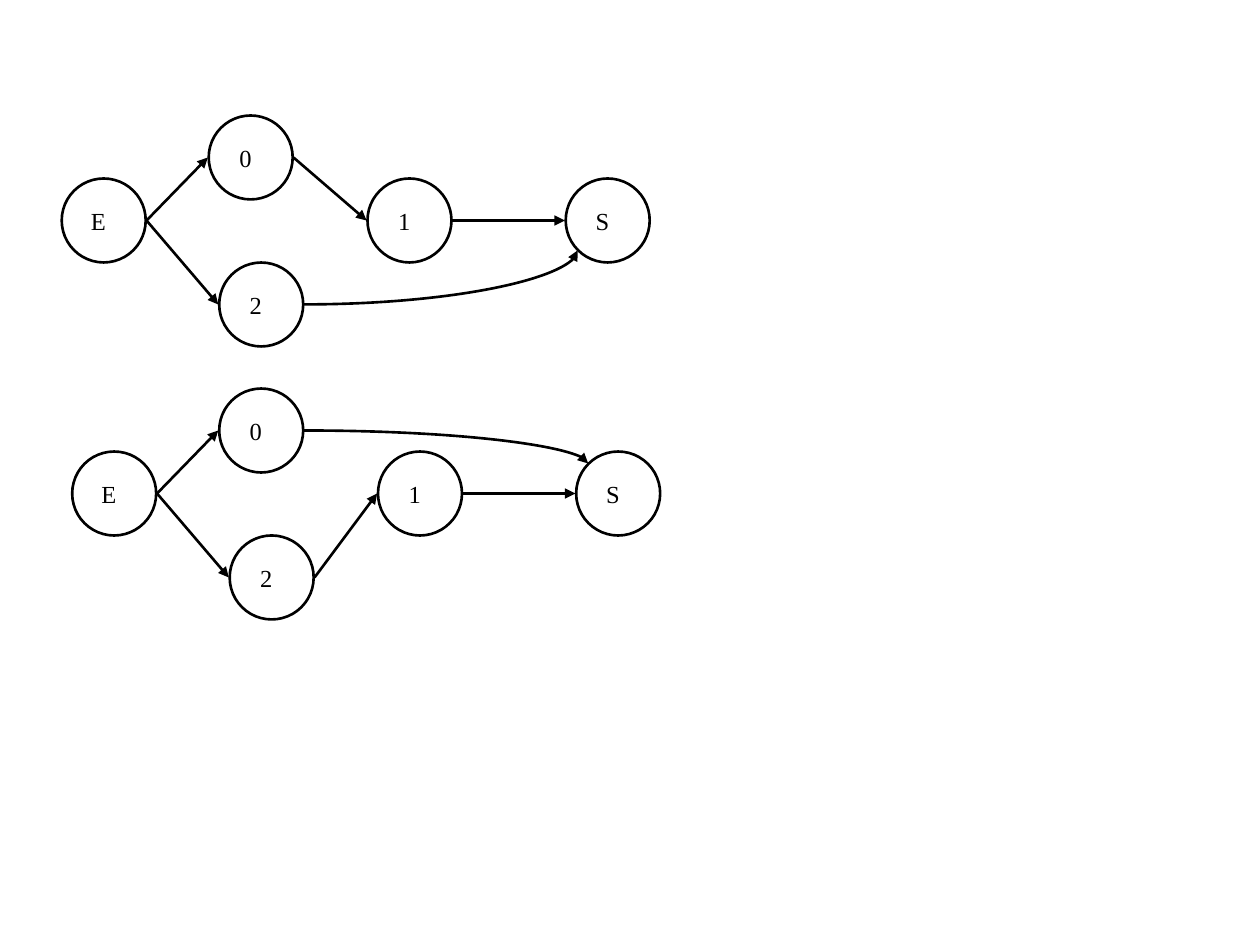
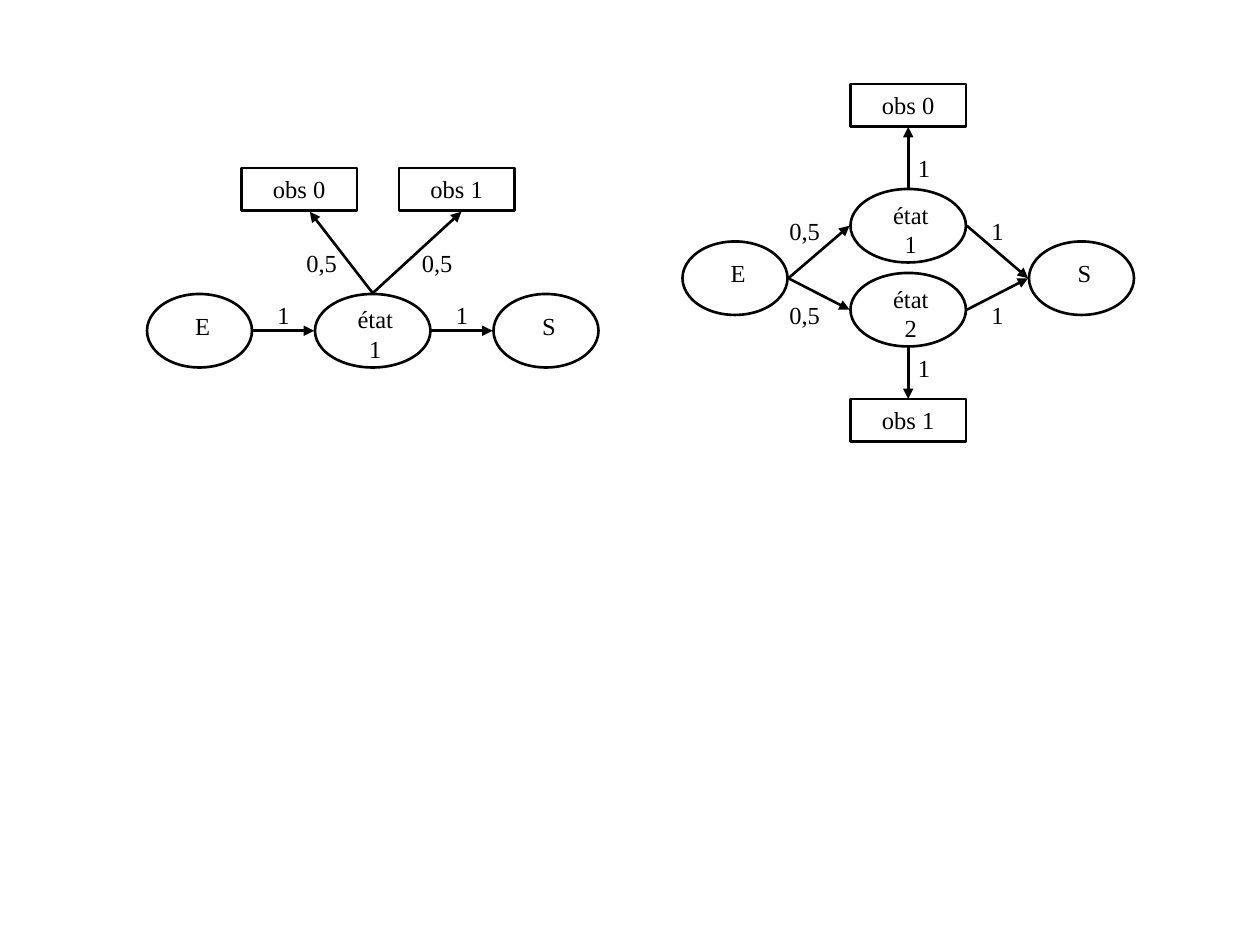
from dataclasses import dataclass
from typing import NamedTuple

from lxml import etree
from pptx import Presentation
from pptx.dml.color import RGBColor
from pptx.enum.shapes import MSO_CONNECTOR, MSO_SHAPE
from pptx.enum.text import MSO_ANCHOR, MSO_AUTO_SIZE, PP_ALIGN
from pptx.oxml.ns import qn
from pptx.shapes.autoshape import Shape
from pptx.shapes.connector import Connector
from pptx.slide import Slide
from pptx.text.text import TextFrame
from pptx.util import Pt

OVAL = MSO_SHAPE.OVAL
RECTANGLE = MSO_SHAPE.RECTANGLE
STRAIGHT = MSO_CONNECTOR.STRAIGHT
CURVE = MSO_CONNECTOR.CURVE
CENTER = PP_ALIGN.CENTER
LEFT_ALIGNED = PP_ALIGN.LEFT
TOP_ANCHOR = MSO_ANCHOR.TOP
GROW = MSO_AUTO_SIZE.SHAPE_TO_FIT_TEXT


@dataclass(frozen=True)
class Theme:
    ink: RGBColor = RGBColor(0, 0, 0)
    font: str = "Times New Roman"
    text_size: float = 14
    line_width: float = 1.5
    edge_gap: float = 0.5
    line_height: float = 24.5


THEME = Theme()


class Box(NamedTuple):
    left: float
    top: float
    width: float
    height: float


class Port(NamedTuple):
    x: float
    y: float


TOP = Port(0.5, 0)
LEFT = Port(0, 0.5)
BOTTOM = Port(0.5, 1)
RIGHT = Port(1, 0.5)
TOP_LEFT = Port(0.15, 0.15)
BOTTOM_LEFT = Port(0.15, 0.85)
SIDES = (TOP, LEFT, BOTTOM, RIGHT)


class NodeStyle(NamedTuple):
    width: float
    height: float
    label: Box
    padded: bool = True


CIRCLE = NodeStyle(48, 48, Box(6, 12, 30, THEME.line_height))
TERMINAL = NodeStyle(60, 42, Box(18, 6, 27.5, THEME.line_height))
STATE = NodeStyle(66, 42, Box(19.5, 6, 30, 34), padded=False)


class Node(NamedTuple):
    text: str
    left: float
    top: float
    style: NodeStyle


class Edge(NamedTuple):
    source: str
    target: str
    start: Port = RIGHT
    end: Port = LEFT
    curved: bool = False


class Weight(NamedTuple):
    text: str
    left: float
    top: float
    align: PP_ALIGN = CENTER


class Graph(NamedTuple):
    nodes: list[Node]
    edges: list[Edge]
    observations: dict[str, tuple[float, float]] = {}
    weights: list[Weight] = []


def circle_graph(left: float, top: float, edges: list[Edge]) -> Graph:
    offsets = {"E": (0, 36), "0": (84, 0), "2": (90, 84), "1": (174.75, 36), "S": (288, 36)}
    nodes = [Node(name, left + dx, top + dy, CIRCLE) for name, (dx, dy) in offsets.items()]
    return Graph(nodes, [Edge("E", "0"), Edge("E", "2"), Edge("1", "S"), *edges])


UPPER_GRAPH = circle_graph(35.25, 66, [
    Edge("0", "1"),
    Edge("2", "S", end=BOTTOM_LEFT, curved=True),
])
LOWER_GRAPH = circle_graph(41.25, 222, [
    Edge("2", "1"),
    Edge("0", "S", end=TOP_LEFT, curved=True),
])
ONE_STATE_GRAPH = Graph(
    nodes=[
        Node("E", 84, 168, TERMINAL),
        Node("état 1", 180, 168, STATE),
        Node("S", 282, 168, TERMINAL),
    ],
    edges=[
        Edge("E", "état 1"),
        Edge("état 1", "S"),
        Edge("état 1", "obs 0", TOP, Port(0.59, 1)),
        Edge("état 1", "obs 1", TOP, Port(0.54, 1)),
    ],
    observations={"obs 0": (138, 96), "obs 1": (228, 96)},
    weights=[
        Weight("1", 144, 168),
        Weight("1", 246, 168),
        Weight("0,5", 168, 138, LEFT_ALIGNED),
        Weight("0,5", 234, 138, LEFT_ALIGNED),
    ],
)
TWO_STATE_GRAPH = Graph(
    nodes=[
        Node("E", 390, 138, TERMINAL),
        Node("état 1", 486, 108, STATE),
        Node("état 2", 486, 156, STATE),
        Node("S", 588, 138, TERMINAL),
    ],
    edges=[
        Edge("E", "état 1"),
        Edge("E", "état 2"),
        Edge("état 1", "S"),
        Edge("état 2", "S"),
        Edge("état 1", "obs 0", TOP, BOTTOM),
        Edge("état 2", "obs 1", BOTTOM, TOP),
    ],
    observations={"obs 0": (486, 48), "obs 1": (486, 228)},
    weights=[
        Weight("0,5", 444, 120, LEFT_ALIGNED),
        Weight("0,5", 444, 168, LEFT_ALIGNED),
        Weight("1", 552, 120),
        Weight("1", 552, 168),
        Weight("1", 510, 84),
        Weight("1", 510, 198),
    ],
)


def write_text(frame: TextFrame, text: str, *, align: PP_ALIGN = CENTER, padded: bool = True) -> None:
    frame.word_wrap = True
    frame.auto_size = GROW
    frame.vertical_anchor = TOP_ANCHOR
    frame.margin_left = frame.margin_right = Pt(7.2 if padded else 0)
    frame.margin_top = frame.margin_bottom = Pt(3.6 if padded else 0)
    paragraph = frame.paragraphs[0]
    paragraph.alignment = align
    run = paragraph.add_run()
    run.text = text
    run.font.name = THEME.font
    run.font.size = Pt(THEME.text_size)
    run.font.color.rgb = THEME.ink


def add_outline(shapes, kind: MSO_SHAPE, box: Box) -> Shape:
    outline = shapes.add_shape(kind, *map(Pt, box))
    outline.shadow.inherit = False
    outline.fill.background()
    outline.line.color.rgb = THEME.ink
    outline.line.width = Pt(THEME.line_width)
    return outline


def add_node(slide: Slide, node: Node) -> Shape:
    style = node.style
    group = slide.shapes.add_group_shape()
    ellipse = add_outline(group.shapes, OVAL, Box(node.left, node.top, style.width, style.height))
    label_box = style.label._replace(left=node.left + style.label.left, top=node.top + style.label.top)
    label = group.shapes.add_textbox(*map(Pt, label_box))
    write_text(label.text_frame, node.text, padded=style.padded)
    return ellipse


def add_observation(slide: Slide, text: str, left: float, top: float) -> Shape:
    observation = add_outline(slide.shapes, RECTANGLE, Box(left, top, 66, THEME.line_height))
    write_text(observation.text_frame, text)
    return observation


def locate(shape: Shape, port: Port) -> tuple[int, int]:
    gap = Pt(THEME.edge_gap)
    x = shape.left + shape.width * port.x + gap * (2 * port.x - 1)
    y = shape.top + shape.height * port.y + gap * (2 * port.y - 1)
    return round(x), round(y)


def add_edge(slide: Slide, edge: Edge, source: Shape, target: Shape) -> Connector:
    kind = CURVE if edge.curved else STRAIGHT
    arrow = slide.shapes.add_connector(kind, *locate(source, edge.start), *locate(target, edge.end))
    arrow.line.color.rgb = THEME.ink
    arrow.line.width = Pt(THEME.line_width)
    properties = arrow._element.spPr
    etree.SubElement(properties.find(qn("a:ln")), qn("a:tailEnd"), type="triangle")
    etree.SubElement(properties, qn("a:effectLst"))
    if edge.curved:
        properties.find(qn("a:prstGeom")).set("prst", "curvedConnector2")
    if target.auto_shape_type == RECTANGLE and edge.end in SIDES:
        arrow.end_connect(target, SIDES.index(edge.end))
    return arrow


def add_graph(slide: Slide, graph: Graph) -> None:
    places = {node.text: add_node(slide, node) for node in graph.nodes}
    for text, (left, top) in graph.observations.items():
        places[text] = add_observation(slide, text, left, top)
    for edge in graph.edges:
        add_edge(slide, edge, places[edge.source], places[edge.target])
    for weight in graph.weights:
        label = slide.shapes.add_textbox(Pt(weight.left), Pt(weight.top), Pt(36), Pt(THEME.line_height))
        write_text(label.text_frame, weight.text, align=weight.align)


def main() -> None:
    deck = Presentation()
    deck.slide_width, deck.slide_height = Pt(720), Pt(540)
    for graphs in ((UPPER_GRAPH, LOWER_GRAPH), (ONE_STATE_GRAPH, TWO_STATE_GRAPH)):
        slide = deck.slides.add_slide(deck.slide_layouts[6])
        for graph in graphs:
            add_graph(slide, graph)
    deck.save("out.pptx")


if __name__ == "__main__":
    main()
